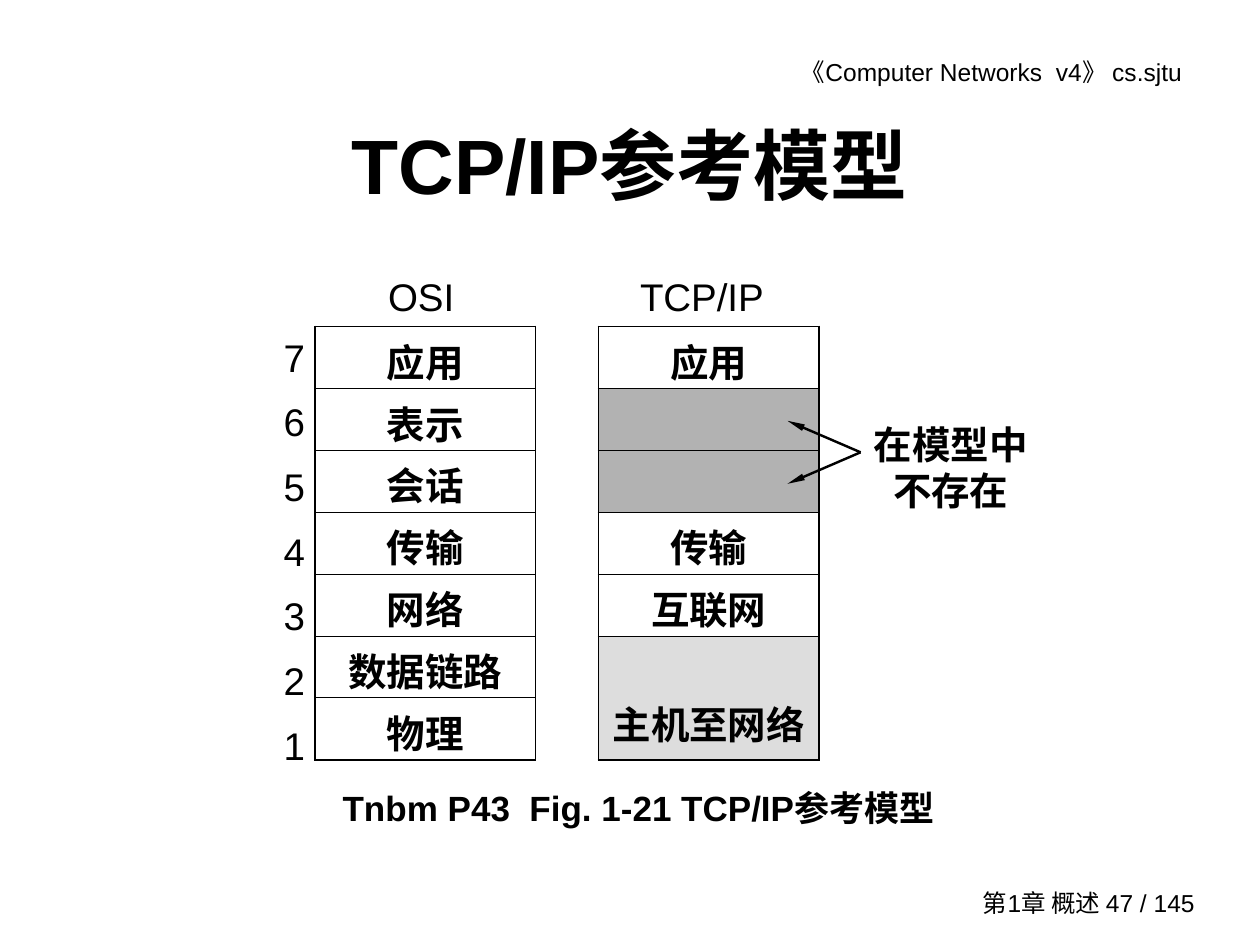
from lxml import etree
from pptx import Presentation
from pptx.dml.color import RGBColor
from pptx.enum.shapes import MSO_CONNECTOR
from pptx.enum.text import MSO_ANCHOR, PP_ALIGN
from pptx.oxml.ns import qn
from pptx.util import Inches, Pt

BLACK = RGBColor(0x00, 0x00, 0x00)
MISSING_GRAY = RGBColor(0xB2, 0xB2, 0xB2)
HOST_GRAY = RGBColor(0xDD, 0xDD, 0xDD)
LEFT, CENTER, RIGHT = PP_ALIGN.LEFT, PP_ALIGN.CENTER, PP_ALIGN.RIGHT
TOP, MIDDLE, BOTTOM = MSO_ANCHOR.TOP, MSO_ANCHOR.MIDDLE, MSO_ANCHOR.BOTTOM
STRAIGHT = MSO_CONNECTOR.STRAIGHT
LATIN_FONT = "Arial"
CHINESE_FONT = "Noto Sans CJK SC"
THIN, THICK = 0.45, 1.08

TABLE_TOP = 2.59
TABLE_WIDTH = 1.75
TABLE_HEIGHT = 3.44
LAYER_COUNT = 7
LAYER_HEIGHT = TABLE_HEIGHT / LAYER_COUNT
OSI_LAYERS = [(name, 1, None) for name in
              ("应用", "表示", "会话", "传输", "网络", "数据链路", "物理")]
TCP_IP_LAYERS = [
    ("应用", 1, None),
    ("", 1, MISSING_GRAY),
    ("", 1, MISSING_GRAY),
    ("传输", 1, None),
    ("互联网", 1, None),
    ("主机至网络", 2, HOST_GRAY),
]


class SlideBuilder:
    def __init__(self, slide):
        self.slide = slide

    def format_text(self, text_frame, size, font=LATIN_FONT, bold=False,
                    align=CENTER, line_spacing=None):
        for paragraph in text_frame.paragraphs:
            paragraph.alignment = align
            paragraph.line_spacing = line_spacing
            for run in paragraph.runs:
                run.font.size = Pt(size)
                run.font.bold = bold
                run.font.color.rgb = BLACK
                run.font.name = font
                properties = run._r.get_or_add_rPr()
                etree.SubElement(properties, qn("a:ea"), typeface=CHINESE_FONT)

    def add_text(self, text, left, top, width, height, size, margins=(0, 0, 0, 0),
                 anchor=TOP, **style):
        box = self.slide.shapes.add_textbox(
            Inches(left), Inches(top), Inches(width), Inches(height))
        frame = box.text_frame
        frame.word_wrap = True
        frame.vertical_anchor = anchor
        (frame.margin_left, frame.margin_top,
         frame.margin_right, frame.margin_bottom) = map(Inches, margins)
        frame.text = text
        self.format_text(frame, size, **style)

    def set_borders(self, cell, top, bottom):
        properties = cell._tc.get_or_add_tcPr()
        widths = {"a:lnL": THICK, "a:lnR": THICK, "a:lnT": top, "a:lnB": bottom}
        for index, (tag, width) in enumerate(widths.items()):
            border = etree.Element(qn(tag), w=str(Pt(width)))
            fill = etree.SubElement(border, qn("a:solidFill"))
            etree.SubElement(fill, qn("a:srgbClr"), val=str(BLACK))
            properties.insert(index, border)

    def add_layer_table(self, layers, left):
        table = self.slide.shapes.add_table(
            len(layers), 1, Inches(left), Inches(TABLE_TOP),
            Inches(TABLE_WIDTH), Inches(TABLE_HEIGHT)).table
        table.first_row = False
        table.horz_banding = False
        last = len(layers) - 1
        for index, (name, span, color) in enumerate(layers):
            table.rows[index].height = Inches(span * LAYER_HEIGHT)
            cell = table.cell(index, 0)
            cell.margin_left = cell.margin_right = Inches(0.08)
            cell.margin_top = Inches(0.05)
            cell.margin_bottom = Inches(0.02 if span == 1 else 0.07)
            cell.vertical_anchor = TOP if span == 1 else BOTTOM
            if color is None:
                cell.fill.background()
            else:
                cell.fill.solid()
                cell.fill.fore_color.rgb = color
            if name:
                cell.text_frame.text = name
                self.format_text(cell.text_frame, 22, CHINESE_FONT, True)
            self.set_borders(cell, THICK if index == 0 else THIN,
                             THICK if index == last else THIN)

    def add_arrow(self, tip, tail):
        connector = self.slide.shapes.add_connector(
            STRAIGHT, *map(Inches, tip + tail))
        connector.line.color.rgb = BLACK
        connector.line.width = Pt(1.39)
        etree.SubElement(connector.line._get_or_add_ln(), qn("a:headEnd"),
                         type="triangle", w="sm", len="lg")
        etree.SubElement(connector._element.spPr, qn("a:effectLst"))


def main():
    presentation = Presentation()
    presentation.slide_width = Inches(10)
    presentation.slide_height = Inches(7.5)
    slide = presentation.slides.add_slide(presentation.slide_layouts[6])
    builder = SlideBuilder(slide)
    padding = (0.1, 0.05, 0.1, 0.05)

    builder.add_text("《Computer Networks  v4》 cs.sjtu", 5.35, 0.4, 4.23, 0.34, 14,
                     margins=(0.1, 0.05, 0.2, 0.05), align=RIGHT)
    builder.add_text("第1章 概述 47 / 145", 7.5, 7, 2.08, 0.33, 14,
                     margins=padding, anchor=MIDDLE, align=RIGHT)
    builder.add_text("TCP/IP参考模型", 0.75, 0.67, 8.5, 1.25, 44,
                     margins=padding, anchor=MIDDLE, bold=True)

    for heading, left, width in (("OSI", 3.08, 0.6), ("TCP/IP", 5.08, 1.1)):
        builder.add_text(heading, left, 2.17, width, 0.37, 22, align=LEFT)
    builder.add_text("在模型中不存在", 6.92, 3.34, 1.25, 0.73, 22,
                     font=CHINESE_FONT, bold=True)
    layer_numbers = "\n".join(str(number) for number in range(LAYER_COUNT, 0, -1))
    builder.add_text(layer_numbers, 2.17, 2.5, 0.33, 3.59, 22, line_spacing=Pt(37))

    builder.add_layer_table(OSI_LAYERS, 2.5)
    builder.add_layer_table(TCP_IP_LAYERS, 4.75)
    for tip_top in (3.84, 3.34):
        builder.add_arrow((6.25, tip_top), (6.83, 3.59))

    builder.add_text("Tnbm P43  Fig. 1-21 TCP/IP参考模型", 2.31, 6.19, 5.52, 0.44, 20,
                     margins=padding, bold=True)
    presentation.save("out.pptx")


if __name__ == "__main__":
    main()
